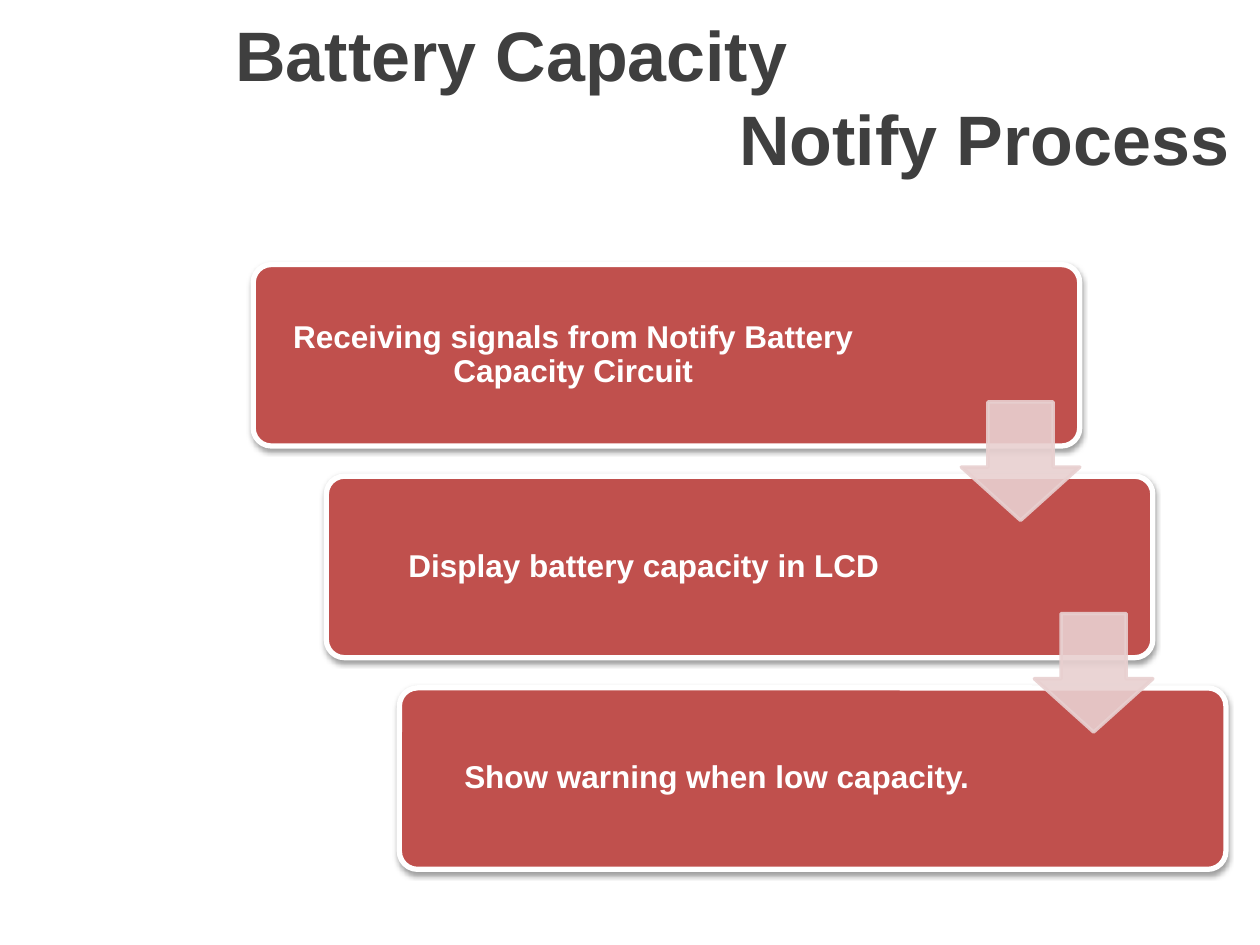
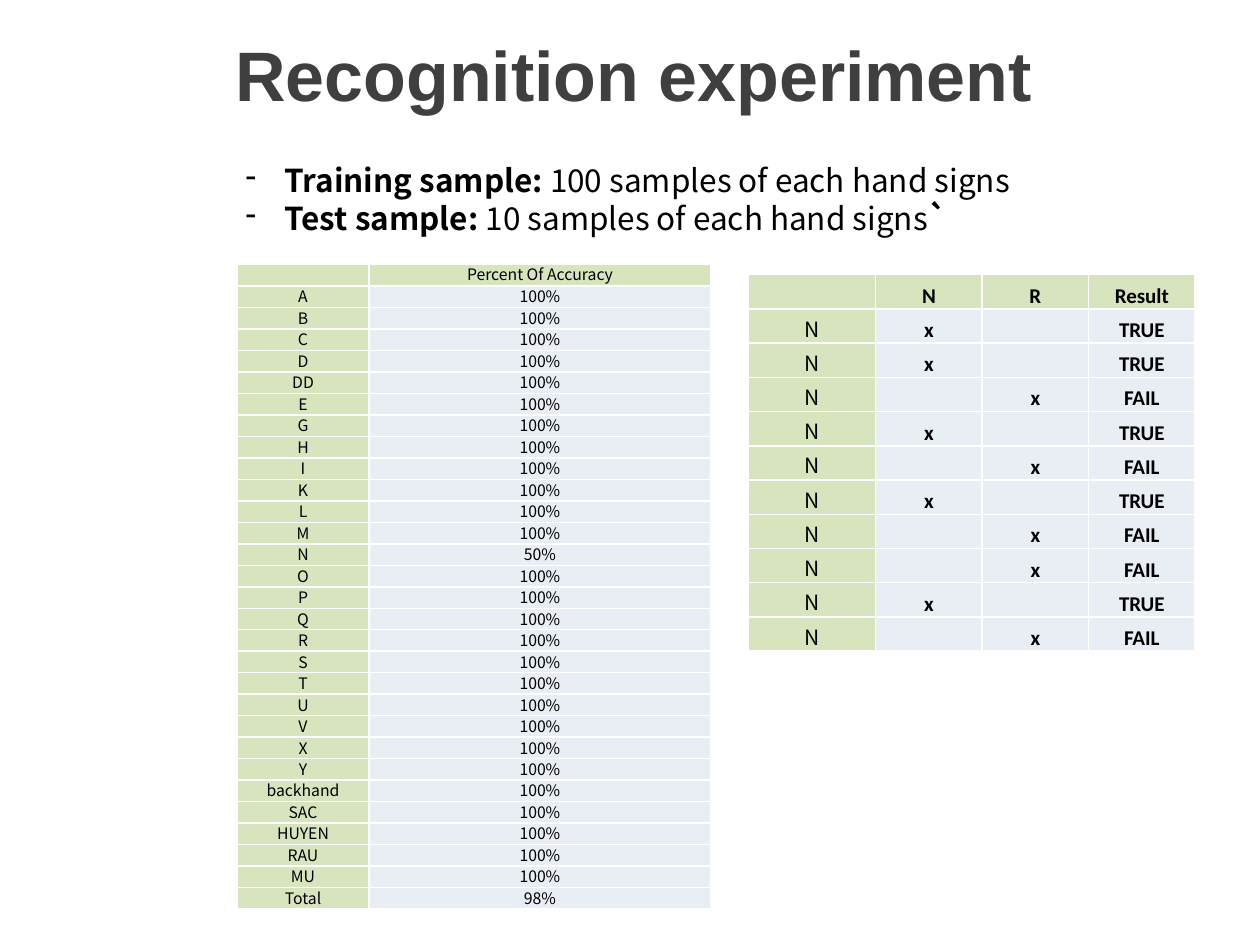
"""Build two slides: the battery notify process and the recognition experiment."""
from lxml import etree
from pptx import Presentation, util as u
from pptx.dml.color import RGBColor
from pptx.enum import shapes, text
from pptx.oxml.ns import qn

GRAY = RGBColor(0x3F, 0x3F, 0x3F)
RED = RGBColor(0xC0, 0x50, 0x4D)
PINK = RGBColor(0xE8, 0xD0, 0xD0)
GREEN = RGBColor(0xD7, 0xE4, 0xBD)
PALE = RGBColor(0xE9, 0xED, 0xF4)
WHITE = RGBColor(0xFF, 0xFF, 0xFF)
BLACK = RGBColor(0, 0, 0)
SANS, BODY, CELL = "Arial", "Noto Sans CJK KR", "Calibri"
MID, LOW = text.MSO_ANCHOR.MIDDLE, text.MSO_ANCHOR.BOTTOM

deck = Presentation()
deck.slide_width, deck.slide_height = u.Inches(10), u.Inches(7.5)
UNIT = deck.slide_width / 100


def grid(*spans):
    return [round(span * UNIT) for span in spans]


def style(para, face, size, color, bold=False):
    font = para.font
    font.name, font.size, font.bold = face, u.Pt(size), bold
    font.color.rgb = color


pages = []
for lines, top, high in (
    (("Battery Capacity", "Notify Process"), 0.5, 14.2),
    (("Recognition experiment",), 0, 11.7),
):
    page = deck.slides.add_slide(deck.slide_layouts[6])
    pages.append(page)
    frame = page.shapes.add_textbox(*grid(17.7, top, 82.3, high)).text_frame
    frame.word_wrap, frame.vertical_anchor = True, MID
    frame.text = "\n".join(lines)
    for row, para in enumerate(frame.paragraphs):
        style(para, SANS, 40, GRAY, True)
        para.line_spacing = u.Pt(48)
        para._p.get_or_add_pPr().set("marL", str(grid(40 * row)[0]))
flow, test = pages

STEPS = (
    "Receiving signals from Notify Battery Capacity Circuit",
    "Display battery capacity in LCD",
    "Show warning when low capacity.",
)
LEFT, TOP, DX, DY = 20.1, 21, 5.8, 16.8
for n, step in enumerate(STEPS):
    x, y = LEFT + n * DX, TOP + n * DY
    card = flow.shapes.add_shape(
        shapes.MSO_SHAPE.ROUNDED_RECTANGLE, *grid(x, y, 65.6, 14.4))
    card.adjustments[0] = 0.1
    card.fill.solid()
    card.fill.fore_color.rgb = RED
    card.line.color.rgb, card.line.width = WHITE, u.Pt(3)
    card.shadow.inherit = False
    glow = etree.SubElement(
        card.element.spPr.find(qn("a:effectLst")), qn("a:outerShdw"),
        blurRad=str(u.Pt(3.1)), dist=str(u.Pt(1.6)), dir="5400000", rotWithShape="0")
    tint = etree.SubElement(glow, qn("a:srgbClr"), val=str(BLACK))
    etree.SubElement(tint, qn("a:alpha"), val="38000")

    wide = 49.6 if n else 50
    frame = flow.shapes.add_textbox(*grid(x + 0.4, y + 0.4, wide, 13.6)).text_frame
    frame.word_wrap, frame.vertical_anchor = True, MID
    frame.margin_left = frame.margin_right = u.Inches(0.07)
    frame.margin_top = frame.margin_bottom = u.Inches(0.07)
    frame.text = step
    para = frame.paragraphs[0]
    para.alignment, para.line_spacing = text.PP_ALIGN.CENTER, 0.9
    style(para, SANS, 18, WHITE, True)

for n in range(len(STEPS) - 1):
    arrow = flow.shapes.add_shape(
        shapes.MSO_SHAPE.DOWN_ARROW,
        *grid(LEFT + 56.2 + n * DX, TOP + 10.9 + n * DY, 9.4, 9.4))
    arrow.adjustments[0], arrow.adjustments[1] = 0.55, 0.45
    arrow.shadow.inherit = False
    arrow.fill.solid()
    arrow.fill.fore_color.rgb = PINK
    arrow.line.color.rgb, arrow.line.width = PINK, u.Pt(2)
    for tint in arrow.element.spPr.iter(qn("a:srgbClr")):
        etree.SubElement(tint, qn("a:alpha"), val="90000")

frame = test.shapes.add_textbox(*grid(18.5, 12.3, 62.9, 7.1)).text_frame
frame.word_wrap = True
NOTES = (
    ("Training sample: ", "100 samples of each hand signs"),
    ("Test sample: ", "10 samples of each hand signs", "`"),
)
for n, note in enumerate(NOTES):
    para = frame.add_paragraph() if n else frame.paragraphs[0]
    style(para, BODY, 18, BLACK)
    para.line_spacing = u.Pt(21.6)
    props = para._p.get_or_add_pPr()
    dent = u.Inches(0.31)
    props.set("marL", str(dent))
    props.set("indent", str(-dent))
    mark = etree.Element(qn("a:buChar"), char="-")
    props.find(qn("a:defRPr")).addprevious(mark)
    for k, part in enumerate(note):
        run = para.add_run()
        run.text, run.font.bold = part, k % 2 == 0

SIGNS = ("A B C D DD E G H I K L M N O P Q R S T U V X Y "
         "backhand SAC HUYEN RAU MU Total").split()
RATES = {"N": "50%", "Total": "98%"}
rates = [("", "Percent Of Accuracy")]
rates += [(sign, RATES.get(sign, "100%")) for sign in SIGNS]
trials = [("", "N", "R", "Result")]
trials += [("N", "x", "", "TRUE") if hit == "N" else ("N", "", "x", "FAIL")
           for hit in "NNRNRNRRNR"]

for rows, spot, cols, size, face, bold in (
    (rates, (18.8, 21, 37.6, 51.2), (10.5, 27.1), 9, BODY, False),
    (trials, (59.4, 21.8, 35.4, 29.9), (10.1, 8.45, 8.45, 8.45), 12, CELL, True),
):
    table = test.shapes.add_table(len(rows), len(cols), *grid(*spot)).table
    table.first_row = table.horz_banding = False
    for col, wide in zip(table.columns, grid(*cols)):
        col.width = wide
    for r, row in enumerate(rows):
        table.rows[r].height = grid(spot[3] / len(rows))[0]
        for c, word in enumerate(row):
            cell = table.cell(r, c)
            cell.text = word
            cell.margin_left = cell.margin_right = cell.margin_top = u.Inches(0.01)
            cell.margin_bottom = 0
            cell.vertical_anchor = LOW if r or size > 9 else MID
            para = cell.text_frame.paragraphs[0]
            para.alignment = text.PP_ALIGN.CENTER
            para.line_spacing = u.Pt(size * 1.2)
            style(para, face if c else BODY, size, BLACK, bold and c > 0)
            for side in ("lnL", "lnR", "lnT", "lnB"):
                edge = etree.SubElement(
                    cell._tc.get_or_add_tcPr(), qn("a:" + side), w=str(u.Pt(1)))
                fill = etree.SubElement(edge, qn("a:solidFill"))
                etree.SubElement(fill, qn("a:srgbClr"), val=str(WHITE))
            cell.fill.solid()
            cell.fill.fore_color.rgb = PALE if r and c else GREEN

deck.save("out.pptx")
